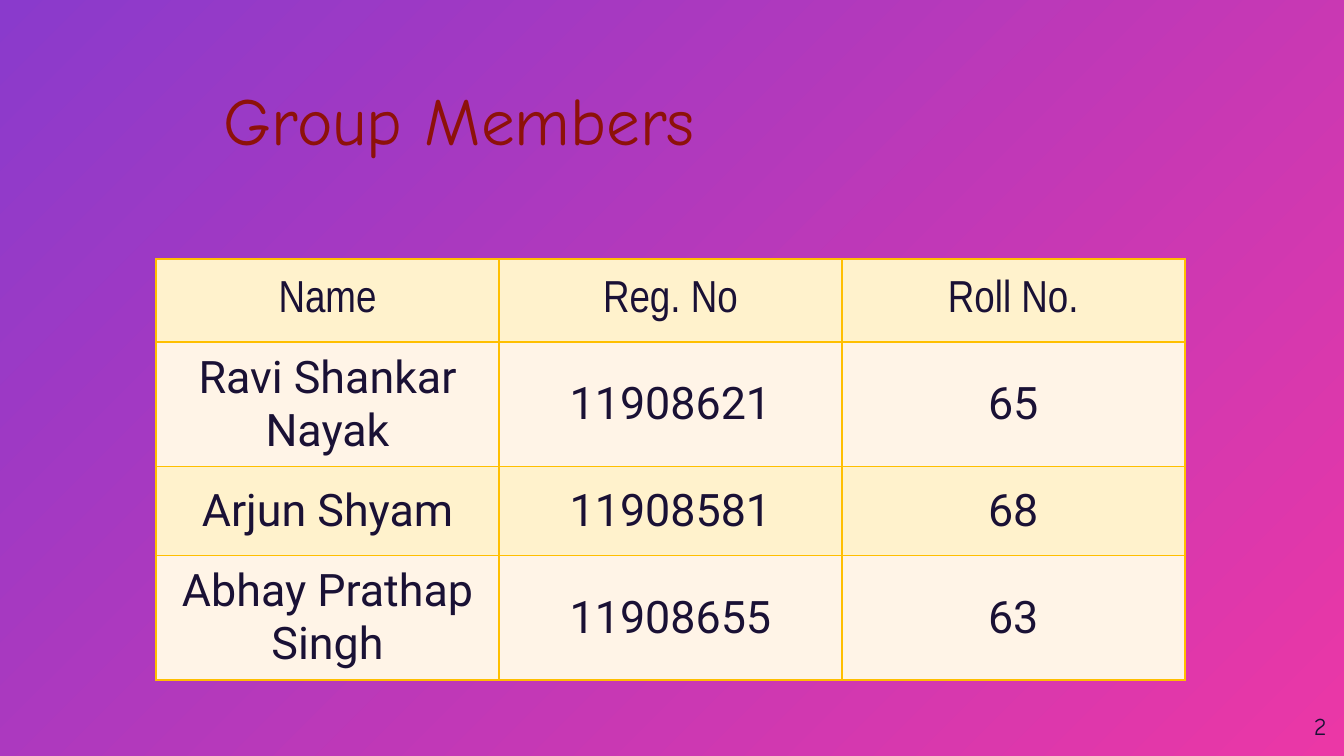
from dataclasses import dataclass

from lxml import etree
from pptx import Presentation
from pptx.dml.color import RGBColor
from pptx.enum.text import MSO_ANCHOR, MSO_AUTO_SIZE, PP_ALIGN
from pptx.oxml.ns import qn
from pptx.util import Cm, Pt

LEFT, CENTER, RIGHT = PP_ALIGN.LEFT, PP_ALIGN.CENTER, PP_ALIGN.RIGHT
MIDDLE = MSO_ANCHOR.MIDDLE
NO_AUTOFIT = MSO_AUTO_SIZE.NONE
TITLE_ONLY = 5


@dataclass(frozen=True)
class TextStyle:
    font: str
    size: float
    color: str
    align: PP_ALIGN


@dataclass(frozen=True)
class Theme:
    gradient: tuple = ("8A3ACC", "EB37A6")
    row_fills: tuple = ("FFF2CC", "FFF4E7")
    border: str = "FFBF00"
    border_width: float = 1
    title: TextStyle = TextStyle("Comic Neue", 36, "8D110A", LEFT)
    header: TextStyle = TextStyle("Arial Narrow", 24, "1A1135", CENTER)
    body: TextStyle = TextStyle("Roboto", 24, "1A1135", CENTER)
    number: TextStyle = TextStyle("Comic Neue", 13, "1A1135", RIGHT)


@dataclass(frozen=True)
class Member:
    name: str
    registration: str
    roll: str


THEME = Theme()
HEADINGS = ("Name", "Reg. No", "Roll No.")
MEMBERS = (
    Member("Ravi Shankar Nayak", "11908621", "65"),
    Member("Arjun Shyam", "11908581", "68"),
    Member("Abhay Prathap Singh", "11908655", "63"),
)
COLUMN_WIDTH = 6.48
ROW_HEIGHTS = (1.57, 1.83, 1.68, 2.11)


def write(frame, text: str, style: TextStyle) -> None:
    para = frame.paragraphs[0]
    para.alignment = style.align
    span = para.add_run()
    span.text = text
    span.font.name = style.font
    span.font.size = Pt(style.size)
    span.font.color.rgb = RGBColor.from_string(style.color)


def place(box, left: float, top: float, width: float, height: float) -> None:
    """Position a text shape in centimetres, with no insets and centred vertically."""
    box.left, box.top, box.width, box.height = map(Cm, (left, top, width, height))
    frame = box.text_frame
    frame.margin_left = frame.margin_right = 0
    frame.margin_top = frame.margin_bottom = 0
    frame.vertical_anchor = MIDDLE
    frame.word_wrap = True
    frame.auto_size = NO_AUTOFIT


def add_borders(cell) -> None:
    properties = cell._tc.get_or_add_tcPr()
    for side in ("lnL", "lnR", "lnT", "lnB"):
        line = etree.SubElement(properties, qn(f"a:{side}"), w=str(Pt(THEME.border_width)))
        fill = etree.SubElement(line, qn("a:solidFill"))
        etree.SubElement(fill, qn("a:srgbClr"), val=THEME.border)


def format_cell(cell, text: str, style: TextStyle, fill: str) -> None:
    cell.margin_left = cell.margin_right = Cm(0.25)
    cell.margin_top = cell.margin_bottom = Cm(0.18)
    cell.vertical_anchor = MIDDLE
    add_borders(cell)
    cell.fill.solid()
    cell.fill.fore_color.rgb = RGBColor.from_string(fill)
    write(cell.text_frame, text, style)


def paint_background(page) -> None:
    fill = page.background.fill
    fill.gradient()
    fill.gradient_angle = 315
    for stop, color in zip(fill.gradient_stops, THEME.gradient):
        stop.color.rgb = RGBColor.from_string(color)


def add_title(page, text: str) -> None:
    box = page.shapes.title
    place(box, 1.27, 1.3, 16.31, 2.08)
    box.text_frame.margin_left = Cm(2.95)
    box.text_frame.paragraphs[0].line_spacing = 0.9
    write(box.text_frame, text, THEME.title)


def add_member_table(page) -> None:
    rows = [HEADINGS] + [(m.name, m.registration, m.roll) for m in MEMBERS]
    table = page.shapes.add_table(
        len(rows), len(HEADINGS), Cm(2.95), Cm(4.9),
        Cm(COLUMN_WIDTH * len(HEADINGS)), Cm(sum(ROW_HEIGHTS)),
    ).table
    table.horz_banding = False
    for column in table.columns:
        column.width = Cm(COLUMN_WIDTH)
    for index, (values, height) in enumerate(zip(rows, ROW_HEIGHTS)):
        table.rows[index].height = Cm(height)
        style = THEME.body if index else THEME.header
        for cell, value in zip(table.rows[index].cells, values):
            format_cell(cell, value, style, THEME.row_fills[index % 2])


def add_page_number(page, number: str) -> None:
    box = page.shapes.add_textbox(0, 0, 0, 0)
    place(box, 23.55, 13.18, 1.52, 1.09)
    write(box.text_frame, number, THEME.number)


def main() -> None:
    deck = Presentation()
    deck.slide_width, deck.slide_height = Cm(25.4), Cm(14.29)
    page = deck.slides.add_slide(deck.slide_layouts[TITLE_ONLY])
    paint_background(page)
    add_title(page, "Group Members")
    add_member_table(page)
    add_page_number(page, "2")
    deck.save("out.pptx")


if __name__ == "__main__":
    main()
